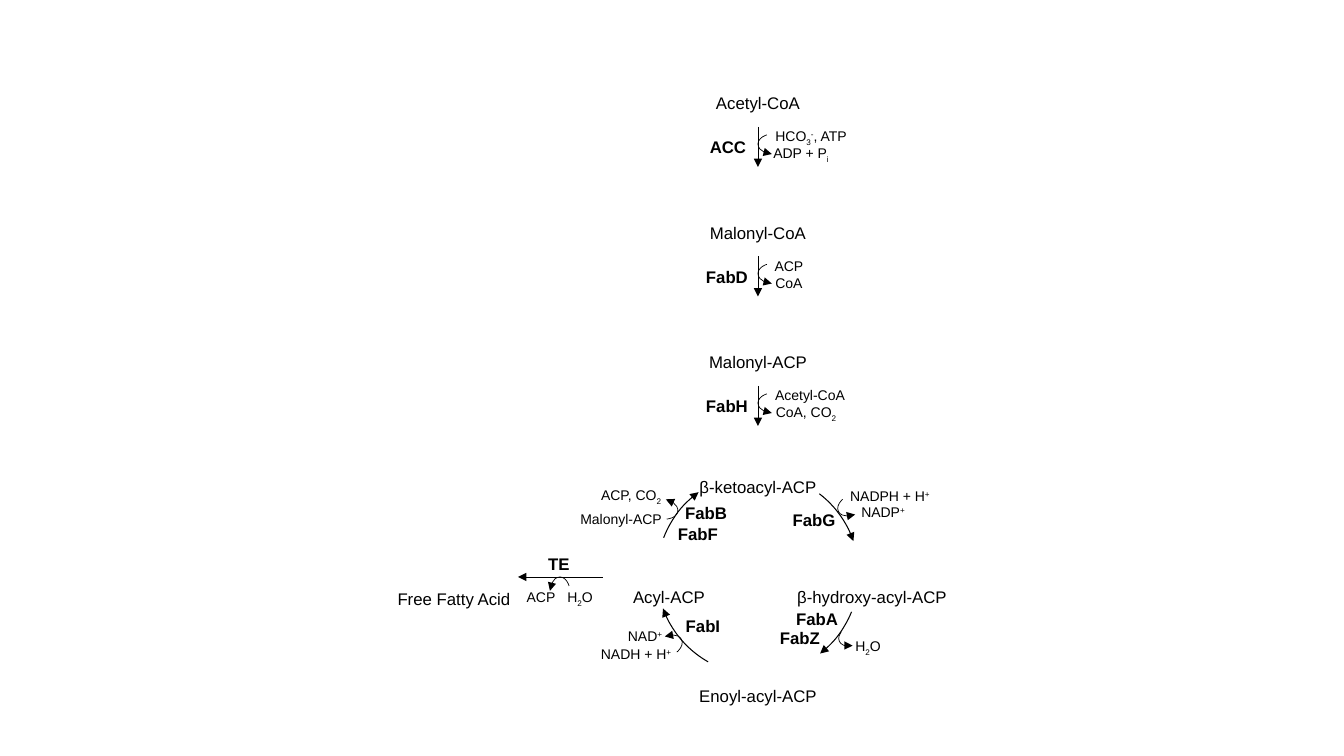
from dataclasses import dataclass

from lxml import etree
from pptx import Presentation
from pptx.dml.color import RGBColor
from pptx.enum.shapes import MSO_CONNECTOR, MSO_SHAPE
from pptx.enum.text import MSO_AUTO_SIZE, PP_ALIGN
from pptx.oxml.ns import qn
from pptx.util import Pt

PX = 914400 / 100.8
ARC = MSO_SHAPE.ARC
STRAIGHT = MSO_CONNECTOR.STRAIGHT
CENTER = PP_ALIGN.CENTER
FIT_TEXT = MSO_AUTO_SIZE.SHAPE_TO_FIT_TEXT
BASELINES = {"_": "-25000", "^": "30000"}


@dataclass
class Theme:
    font: str = "Arial"
    ink: RGBColor = RGBColor(0, 0, 0)
    main: int = 12
    small: int = 10
    thin: float = 0.5
    cycle: float = 0.75


def px(value):
    return round(value * PX)


class Pathway:
    def __init__(self, slide, theme):
        self.s = slide
        self.theme = theme

    def label(self, cx, top, width, markup, size=None, bold=False):
        size = size or self.theme.main
        height = 30 if size == self.theme.main else 28
        sp = self.s.shapes.add_textbox(px(cx - width / 2), px(top), px(width), px(height))
        tf = sp.text_frame
        tf.word_wrap = False
        tf.auto_size = FIT_TEXT
        p = tf.paragraphs[0]
        p.alignment = CENTER
        for part in markup.replace("_", "|_").replace("^", "|^").split("|"):
            if part[0] in BASELINES:
                r = p.add_run()
                r.text = part[1]
                r.font._element.set("baseline", BASELINES[part[0]])
                part = part[2:]
            if part:
                p.add_run().text = part
        for r in p.runs:
            r.font.name = self.theme.font
            r.font.size = Pt(size)
            r.font.bold = bold
            r.font.color.rgb = self.theme.ink

    def enzyme(self, cx, top, width, name):
        self.label(cx, top, width, name, bold=True)

    def cofactor(self, cx, top, width, markup):
        self.label(cx, top, width, markup, self.theme.small)

    def stroke(self, sp, weight, arrow_end):
        sp.line.color.rgb = self.theme.ink
        sp.line.width = Pt(weight)
        ln = sp.line._get_or_add_ln()
        etree.SubElement(ln, qn("a:" + arrow_end)).set("type", "triangle")

    def arrow(self, x1, y1, x2, y2):
        sp = self.s.shapes.add_connector(STRAIGHT, px(x1), px(y1), px(x2), px(y2))
        self.stroke(sp, self.theme.thin, "tailEnd")
        etree.SubElement(sp._element.spPr, qn("a:effectLst"))

    def arc(self, left, top, width, height, start, end, weight, arrow_end, rotation=0):
        sp = self.s.shapes.add_shape(ARC, px(left), px(top), px(width), px(height))
        sp.adjustments[0] = start * 0.6
        sp.adjustments[1] = end * 0.6
        sp.rotation = rotation
        sp.shadow.inherit = False
        sp.fill.background()
        self.stroke(sp, weight, arrow_end)

    def exchange(self, left, top, rotation=0, start=186.35, end=326.56):
        self.arc(left, top, 20, 30, start, end, self.theme.thin, "headEnd", rotation)

    def cycle_arc(self, start, end):
        self.arc(657, 473, 202, 202, start, end, self.theme.cycle, "tailEnd")


STEP_TOP, STEP_PITCH, AXIS = 88, 129.5, 758
STEPS = [
    (("Acetyl-CoA", 105), (728, "ACC", 57), (811, "HCO_3^-, ATP", 99), (801, "ADP + P_i", 79)),
    (("Malonyl-CoA", 117), (727, "FabD", 62), (789, "ACP", 52), (789, "CoA", 52)),
    (("Malonyl-ACP", 119), (727, "FabH", 62), (810, "Acetyl-CoA", 95), (806, "CoA, CO_2", 87)),
]
METABOLITES = [
    (758, 472, 138, "β-ketoacyl-ACP"),
    (872, 582, 171, "β-hydroxy-acyl-ACP"),
    (758, 681, 139, "Enoyl-acyl-ACP"),
    (669, 582, 93, "Acyl-ACP"),
    (454, 584, 134, "Free Fatty Acid"),
]
ENZYMES = [
    (706, 498, 71, "FabB"),
    (698, 519, 71, "FabF"),
    (814, 505, 64, "FabG"),
    (817, 604, 71, "FabA"),
    (800, 623, 71, "FabZ"),
    (703, 611, 55, "FabI"),
    (559, 549, 61, "TE"),
]
COFACTORS = [
    (631, 482, 84, "ACP, CO_2"),
    (621, 506, 124, "Malonyl-ACP"),
    (890, 483, 102, "NADPH + H^+"),
    (883, 499, 66, "NADP^+"),
    (868, 633, 46, "H_2O"),
    (645, 623, 64, "NAD^+"),
    (636, 641, 106, "NADH + H^+"),
    (541, 584, 49, "ACP"),
    (580, 584, 46, "H_2O"),
]
EXCHANGES = [
    (842, 490, 245),
    (843, 620, 245, 206.6, 309.4),
    (658, 631, 65, 186.35, 329.88),
    (653, 494, 100, 186.35, 329.88),
    (550, 577),
]
CYCLE_ARCS = [(307.5, 341), (22, 52), (119.5, 160), (201, 234)]


def main():
    prs = Presentation()
    prs.slide_width, prs.slide_height = px(1344), px(756)
    pathway = Pathway(prs.slides.add_slide(prs.slide_layouts[6]), Theme())

    for i, (metabolite, enzyme, used, released) in enumerate(STEPS):
        top = STEP_TOP + i * STEP_PITCH
        name, width = metabolite
        pathway.label(AXIS, top, width, name)
        cx, name, width = enzyme
        pathway.enzyme(cx, top + 44, width, name)
        pathway.arrow(AXIS, top + 39, AXIS, top + 79)
        pathway.exchange(763, top + 41, 270)
        for (cx, name, width), offset in ((used, 35), (released, 52)):
            pathway.cofactor(cx, top + offset, width, name)

    for start, end in CYCLE_ARCS:
        pathway.cycle_arc(start, end)
    pathway.arrow(603, 577, 518, 577)
    for exchange in EXCHANGES:
        pathway.exchange(*exchange)
    for metabolite in METABOLITES:
        pathway.label(*metabolite)
    for enzyme in ENZYMES:
        pathway.enzyme(*enzyme)
    for cofactor in COFACTORS:
        pathway.cofactor(*cofactor)

    prs.save("out.pptx")


if __name__ == "__main__":
    main()
